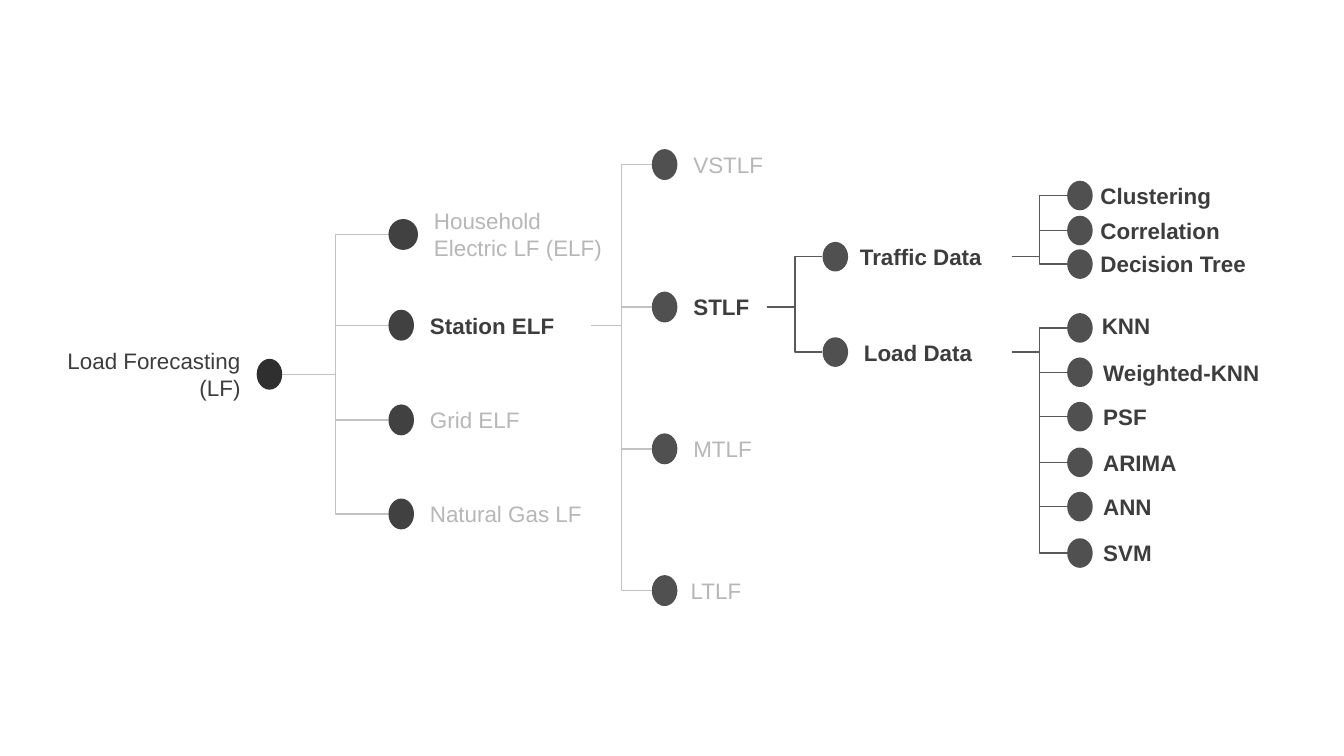
from dataclasses import dataclass

from lxml.etree import SubElement
from pptx import Presentation
from pptx.dml.color import RGBColor
from pptx.enum.shapes import MSO_CONNECTOR as Connector, MSO_SHAPE as Preset
from pptx.enum.text import MSO_ANCHOR as Anchor, PP_ALIGN as Align
from pptx.oxml.ns import qn
from pptx.shapes.autoshape import Shape
from pptx.slide import Slide
from pptx.util import Inches, Pt

GRID = Inches(0.1)
COLUMNS, ROWS = 100, 56.25

INK = RGBColor(0x3D, 0x3D, 0x3D)
MUTED = RGBColor(0xB7, 0xB7, 0xB7)
ROOT_DOT = RGBColor(0x2F, 0x2F, 0x2F)
SECTOR_DOT = RGBColor(0x41, 0x41, 0x41)
DETAIL_DOT = RGBColor(0x50, 0x50, 0x50)
PALE_LINE = RGBColor(0xC2, 0xC2, 0xC2)
DARK_LINE = RGBColor(0x59, 0x59, 0x59)

BOX_RIGHT, DOT_LEFT, DOT_RIGHT = 3, 2, 6


@dataclass(frozen=True)
class Level:
    dot_column: float
    dot_rows: float
    box_rows: float
    dot_colour: RGBColor
    link_colour: RGBColor


@dataclass(frozen=True)
class Node:
    label: str
    level: Level
    row: float
    box_column: float
    box_columns: float
    parent: str = ""
    colour: RGBColor = INK
    bold: bool = True
    align: Align = Align.LEFT
    dot_columns: float = 1.9
    lift: float = 0


@dataclass(frozen=True)
class Drawn:
    box: Shape
    dot: Shape


ROOT = Level(19.1, 2.3, 4.3, ROOT_DOT, PALE_LINE)
SECTOR = Level(28.9, 2.3, 4.3, SECTOR_DOT, PALE_LINE)
HORIZON = Level(48.5, 2.3, 4.3, DETAIL_DOT, PALE_LINE)
DATA = Level(61.2, 2.2, 4.1, DETAIL_DOT, DARK_LINE)
METHOD = Level(79.4, 2.2, 4.1, DETAIL_DOT, DARK_LINE)

TOPIC = "Load Forecasting (LF)"
STATION, SHORT_TERM = "Station ELF", "STLF"
TRAFFIC, LOAD = "Traffic Data", "Load Data"

NODES = [
    Node(TOPIC, ROOT, 27.85, 3.5, 15.6, bold=False, align=Align.RIGHT),
    Node("Household Electric LF (ELF)", SECTOR, 17.45, 31.1, 15.1, TOPIC, MUTED, False, dot_columns=2.2),
    Node(STATION, SECTOR, 24.2, 30.8, 13.2, TOPIC),
    Node("Grid ELF", SECTOR, 31.25, 30.8, 13.2, TOPIC, MUTED, False),
    Node("Natural Gas LF", SECTOR, 38.25, 30.8, 14, TOPIC, MUTED, False),
    Node("VSTLF", HORIZON, 12.25, 50.4, 8.6, STATION, MUTED, False),
    Node(SHORT_TERM, HORIZON, 22.85, 50.4, 6.7, STATION),
    Node("MTLF", HORIZON, 33.4, 50.4, 8.6, STATION, MUTED, False, Align.JUSTIFY),
    Node("LTLF", HORIZON, 43.95, 50.2, 8.6, STATION, MUTED, False),
    Node(TRAFFIC, DATA, 19.1, 62.8, 12.5, SHORT_TERM),
    Node(LOAD, DATA, 26.2, 63.1, 12.2, SHORT_TERM),
    Node("Clustering", METHOD, 14.55, 80.7, 12.5, TRAFFIC),
    Node("Correlation", METHOD, 17.15, 80.7, 11.5, TRAFFIC),
    Node("Decision Tree", METHOD, 19.65, 80.7, 13.7, TRAFFIC),
    Node("KNN", METHOD, 24.4, 80.8, 12.5, LOAD, lift=0.15),
    Node("Weighted-KNN", METHOD, 27.7, 80.9, 15.1, LOAD),
    Node("PSF", METHOD, 31, 80.9, 12.5, LOAD),
    Node("ARIMA", METHOD, 34.4, 80.9, 12.5, LOAD),
    Node("ANN", METHOD, 37.7, 80.9, 12.5, LOAD),
    Node("SVM", METHOD, 41.15, 80.9, 12.5, LOAD),
]


def span(cells: float) -> int:
    return round(cells * GRID)


def apply(target: object, values: dict) -> None:
    for name, value in values.items():
        setattr(target, name, value)


def add_centred(page: Slide, preset: Preset, column: float, row: float,
                columns: float, rows: float) -> Shape:
    shape = page.shapes.add_shape(
        preset, span(column), span(row - rows / 2), span(columns), span(rows))
    shape.shadow.inherit = False
    shape.line.fill.background()
    return shape


def draw_node(page: Slide, node: Node) -> Drawn:
    level = node.level
    box = add_centred(page, Preset.ROUNDED_RECTANGLE, node.box_column,
                      node.row - node.lift, node.box_columns, level.box_rows)
    box.fill.background()
    frame = box.text_frame
    apply(frame, {"word_wrap": True, "vertical_anchor": Anchor.MIDDLE})
    apply(frame, {f"margin_{side}": GRID for side in ("left", "top", "right", "bottom")})
    para = frame.paragraphs[0]
    para.alignment = node.align
    run = para.add_run()
    run.text = node.label
    apply(run.font, {"name": "Arial", "size": Pt(12), "bold": node.bold})
    run.font.color.rgb = node.colour

    dot = add_centred(page, Preset.OVAL, level.dot_column, node.row,
                      node.dot_columns, level.dot_rows)
    dot.fill.solid()
    dot.fill.fore_color.rgb = level.dot_colour
    return Drawn(box, dot)


def draw_link(page: Slide, start: Shape, start_site: int, end: Shape, colour: RGBColor) -> None:
    link = page.shapes.add_connector(
        Connector.ELBOW, start.left + start.width, start.top + start.height // 2,
        end.left, end.top + end.height // 2)
    link.line.color.rgb = colour
    link.line.width = Pt(0.75)
    SubElement(link._element.spPr, qn("a:effectLst"))
    joints = link._element.nvCxnSpPr.cNvCxnSpPr
    for tag, shape, site in (("a:stCxn", start, start_site), ("a:endCxn", end, DOT_LEFT)):
        SubElement(joints, qn(tag), id=str(shape.shape_id), idx=str(site))


def main() -> None:
    deck = Presentation()
    apply(deck, {"slide_width": span(COLUMNS), "slide_height": span(ROWS)})
    page = deck.slides.add_slide(deck.slide_layouts[6])
    drawn = {node.label: draw_node(page, node) for node in NODES}
    for node in NODES:
        if not node.parent:
            continue
        parent = drawn[node.parent]
        start, site = (parent.dot, DOT_RIGHT) if node.parent == TOPIC else (parent.box, BOX_RIGHT)
        draw_link(page, start, site, drawn[node.label].dot, node.level.link_colour)
    deck.save("out.pptx")


if __name__ == "__main__":
    main()
